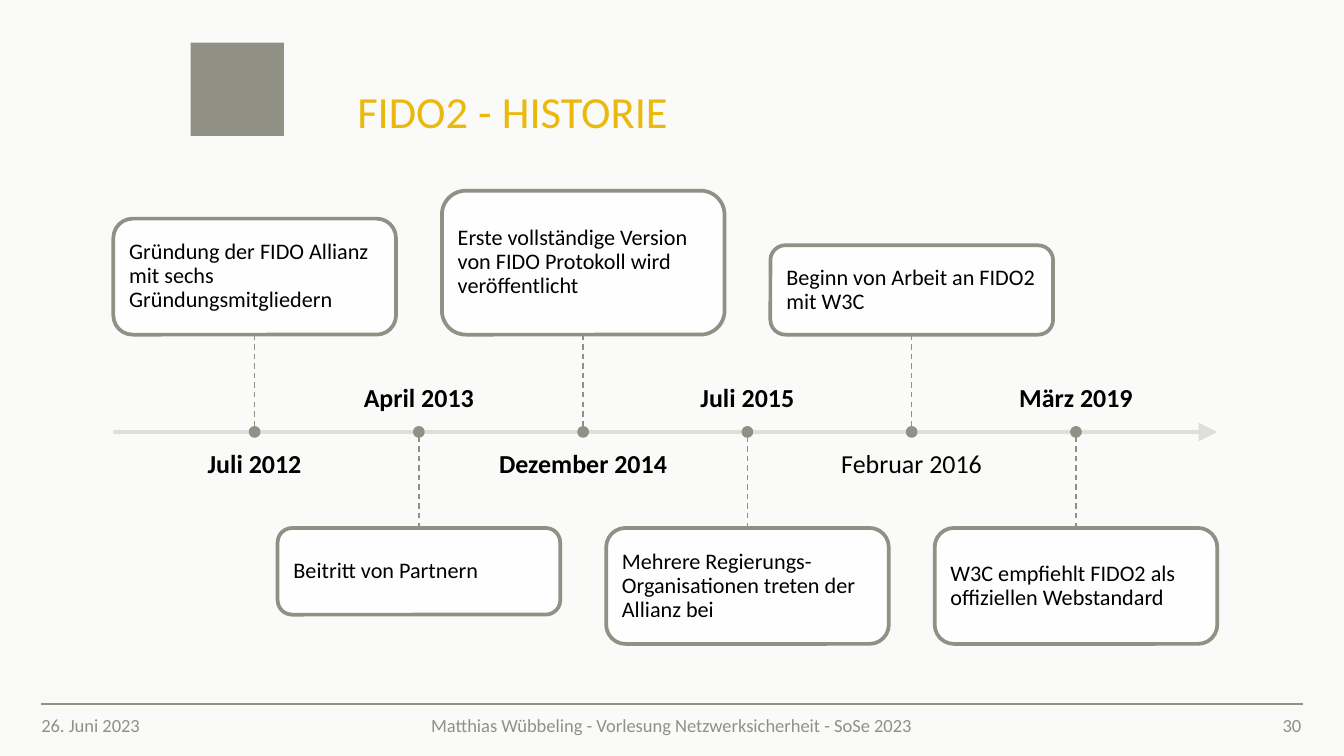
from dataclasses import dataclass

from lxml.etree import SubElement
from pptx import Presentation
from pptx.dml.color import RGBColor
from pptx.enum.dml import MSO_LINE
from pptx.enum.shapes import MSO_CONNECTOR, MSO_SHAPE
from pptx.enum.text import MSO_ANCHOR, MSO_AUTO_SIZE, PP_ALIGN
from pptx.oxml.ns import qn
from pptx.shapes.autoshape import Shape
from pptx.shapes.connector import Connector
from pptx.slide import Slide
from pptx.text.text import TextFrame
from pptx.util import Inches, Pt

BACKGROUND = RGBColor(0xFA, 0xFA, 0xF9)
GRAY = RGBColor(0x90, 0x90, 0x85)
LIGHT_GRAY = RGBColor(0xDB, 0xDB, 0xD9)
YELLOW = RGBColor(0xEA, 0xB9, 0x0C)
BLACK = RGBColor(0, 0, 0)
WHITE = RGBColor(0xFF, 0xFF, 0xFF)
FONT = "Calibri"

MARGIN_LEFT, MARGIN_RIGHT = 0.31, 9.77
FOOTER_TOP, FOOTER_HEIGHT = 5.28, 0.31
AXIS_LEFT, AXIS_RIGHT, AXIS_Y = 0.85, 9.13, 3.24
FIRST_CENTER, LAST_CENTER = 1.91, 8.07
CARD_WIDTH, CARD_INSET = 2.12, 0.12
UPPER_CARD_BOTTOM, LOWER_CARD_TOP = 2.51, 3.96
DATE_WIDTH, DATE_HEIGHT, DATE_GAP = 1.87, 0.43, 0.14
DOT_SIZE = 0.06
# Share of its height by which a rounded rectangle insets its text
CORNER_INSET = 0.05
OPACITY = 90


@dataclass(frozen=True)
class Milestone:
    date: str
    text: str
    card_height: float
    bold: bool = True


@dataclass(frozen=True)
class FooterItem:
    text: str
    left: float
    width: float
    alignment: PP_ALIGN


MILESTONES = [
    Milestone("Juli 2012", "Gründung der FIDO Allianz mit sechs Gründungsmitgliedern", 0.87),
    Milestone("April 2013", "Beitritt von Partnern", 0.65),
    Milestone("Dezember 2014", "Erste vollständige Version von FIDO Protokoll wird veröffentlicht", 1.08),
    Milestone("Juli 2015", "Mehrere Regierungs-Organisationen treten der Allianz bei", 0.87),
    Milestone("Februar 2016", "Beginn von Arbeit an FIDO2 mit W3C", 0.67, bold=False),
    Milestone("März 2019", "W3C empfiehlt FIDO2 als offiziellen Webstandard", 0.87),
]

FOOTER = [
    FooterItem("26. Juni 2023", MARGIN_LEFT, 0.94, PP_ALIGN.LEFT),
    FooterItem("Matthias Wübbeling - Vorlesung Netzwerksicherheit - SoSe 2023",
               2.28, 5.51, PP_ALIGN.CENTER),
    FooterItem("30", 9.13, 0.63, PP_ALIGN.RIGHT),
]


def write(frame: TextFrame, text: str, size: float, color: RGBColor,
          alignment: PP_ALIGN = PP_ALIGN.LEFT, anchor: MSO_ANCHOR = MSO_ANCHOR.MIDDLE,
          inset: float = 0, bold: bool = False, spacing: float | Pt = 1.0) -> None:
    frame.word_wrap = True
    frame.auto_size = MSO_AUTO_SIZE.NONE
    frame.vertical_anchor = anchor
    frame.margin_left = frame.margin_right = Inches(inset)
    frame.margin_top = frame.margin_bottom = Inches(inset)
    paragraph = frame.paragraphs[0]
    paragraph.alignment = alignment
    paragraph.line_spacing = spacing
    paragraph.space_before = Pt(0)
    run = paragraph.add_run()
    run.text = text
    run.font.name = FONT
    run.font.size = Pt(size)
    run.font.bold = bold
    run.font.color.rgb = color


def add_text(slide: Slide, left: float, top: float, width: float, height: float) -> TextFrame:
    box = slide.shapes.add_textbox(Inches(left), Inches(top), Inches(width), Inches(height))
    return box.text_frame


def add_filled(slide: Slide, kind: MSO_SHAPE, left: float, top: float,
               width: float, height: float, fill: RGBColor) -> Shape:
    shape = slide.shapes.add_shape(kind, Inches(left), Inches(top), Inches(width), Inches(height))
    shape.shadow.inherit = False
    shape.fill.solid()
    shape.fill.fore_color.rgb = fill
    shape.line.color.rgb = GRAY
    shape.line.width = Pt(2)
    return shape


def add_line(slide: Slide, start: tuple[float, float], end: tuple[float, float],
             color: RGBColor, width: float) -> Connector:
    line = slide.shapes.add_connector(
        MSO_CONNECTOR.STRAIGHT, *(Inches(length) for length in (*start, *end)))
    line.line.color.rgb = color
    line.line.width = Pt(width)
    SubElement(line._element.spPr, qn("a:effectLst"))
    return line


def set_opacity(shape: Shape | Connector) -> None:
    """Make the first solid fill of the shape slightly transparent."""
    color = next(shape._element.spPr.iter(qn("a:srgbClr")))
    SubElement(color, qn("a:alpha"), val=str(OPACITY * 1000))


def add_axis(slide: Slide) -> None:
    axis = add_line(slide, (AXIS_LEFT, AXIS_Y), (AXIS_RIGHT, AXIS_Y), LIGHT_GRAY, 2)
    set_opacity(axis)
    SubElement(axis.line._get_or_add_ln(), qn("a:tailEnd"), type="triangle", w="lg", len="lg")


def add_milestone(slide: Slide, milestone: Milestone, center: float, upper: bool) -> None:
    """Draw the card on one side of the axis and its date on the other."""
    height = milestone.card_height
    if upper:
        card_top, card_edge, side = UPPER_CARD_BOTTOM - height, UPPER_CARD_BOTTOM, 2
        date_top, date_anchor = AXIS_Y + DATE_GAP, MSO_ANCHOR.TOP
    else:
        card_top, card_edge, side = LOWER_CARD_TOP, LOWER_CARD_TOP, 0
        date_top, date_anchor = AXIS_Y - DATE_GAP - DATE_HEIGHT, MSO_ANCHOR.BOTTOM

    date = add_text(slide, center - DATE_WIDTH / 2, date_top, DATE_WIDTH, DATE_HEIGHT)
    write(date, milestone.date, 14, BLACK, PP_ALIGN.CENTER, date_anchor,
          bold=milestone.bold, spacing=0.9)

    card = add_filled(slide, MSO_SHAPE.ROUNDED_RECTANGLE, center - CARD_WIDTH / 2, card_top,
                      CARD_WIDTH, height, WHITE)
    set_opacity(card)
    write(card.text_frame, milestone.text, 12, BLACK,
          inset=CARD_INSET - CORNER_INSET * height, spacing=0.9)

    stem = add_line(slide, (center, card_edge), (center, AXIS_Y), GRAY, 0.75)
    stem.line.dash_style = MSO_LINE.DASH
    stem.begin_connect(card, side)
    add_filled(slide, MSO_SHAPE.OVAL, center - DOT_SIZE / 2, AXIS_Y - DOT_SIZE / 2,
               DOT_SIZE, DOT_SIZE, GRAY)


def add_title(slide: Slide) -> None:
    title = slide.shapes.title
    title.left, title.top = Inches(2.68), Inches(0.32)
    title.width, title.height = Inches(7.09), Inches(0.71)
    write(title.text_frame, "FIDO2 - HISTORIE", 24, YELLOW,
          anchor=MSO_ANCHOR.BOTTOM, spacing=Pt(26))


def add_footer(slide: Slide) -> None:
    add_line(slide, (MARGIN_LEFT, FOOTER_TOP), (MARGIN_RIGHT, FOOTER_TOP), GRAY, 1)
    for item in FOOTER:
        frame = add_text(slide, item.left, FOOTER_TOP, item.width, FOOTER_HEIGHT)
        write(frame, item.text, 10, GRAY, item.alignment)


def main() -> None:
    presentation = Presentation()
    presentation.slide_width, presentation.slide_height = Inches(10.08), Inches(5.67)
    slide = presentation.slides.add_slide(presentation.slide_layouts[5])
    slide.background.fill.solid()
    slide.background.fill.fore_color.rgb = BACKGROUND

    emblem = add_filled(slide, MSO_SHAPE.RECTANGLE, 1.43, 0.32, 0.7, 0.7, GRAY)
    emblem.line.fill.background()
    add_title(slide)
    add_footer(slide)
    add_axis(slide)
    step = (LAST_CENTER - FIRST_CENTER) / (len(MILESTONES) - 1)
    for index, milestone in enumerate(MILESTONES):
        add_milestone(slide, milestone, FIRST_CENTER + index * step, upper=index % 2 == 0)
    presentation.save("out.pptx")


if __name__ == "__main__":
    main()
